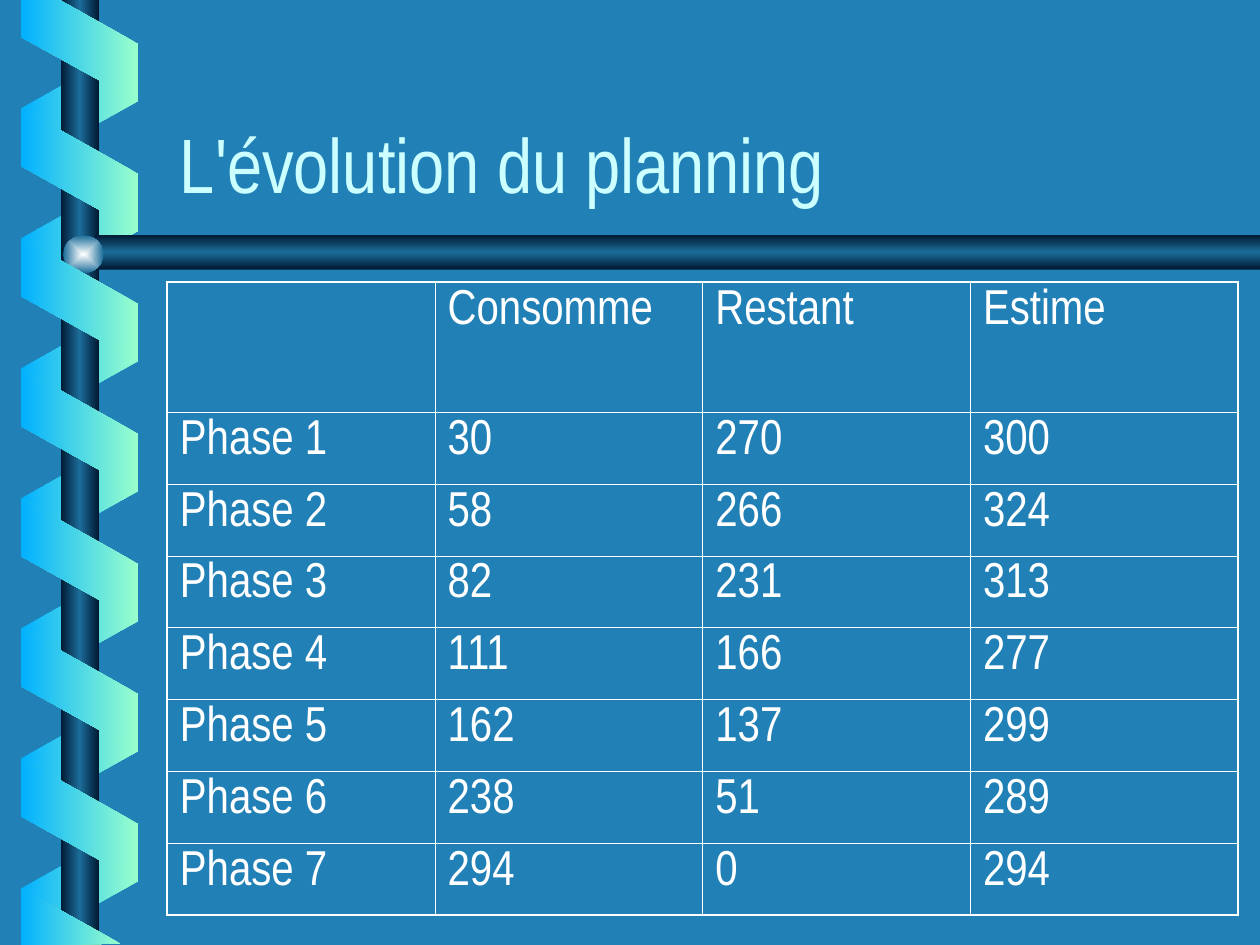
import pptx
import pptx.dml.color
import pptx.enum.shapes
import pptx.enum.text
import pptx.oxml
import pptx.oxml.ns
import pptx.util

Pt = pptx.util.Pt
RGB = pptx.dml.color.RGBColor.from_string
SHAPES = pptx.enum.shapes.MSO_SHAPE

TITLE = "L'évolution du planning"
PLANNING = [
    ("", "Consomme", "Restant", "Estime"),
    ("Phase 1", "30", "270", "300"),
    ("Phase 2", "58", "266", "324"),
    ("Phase 3", "82", "231", "313"),
    ("Phase 4", "111", "166", "277"),
    ("Phase 5", "162", "137", "299"),
    ("Phase 6", "238", "51", "289"),
    ("Phase 7", "294", "0", "294"),
]

THEME = {
    "background": "2181B7",
    "border": "FFFFFF",
    "inner_line": 0.45,
    "outer_line": 1.08,
    "title": {"size": Pt(44), "name": "Arial Narrow", "color": "CCFFFF"},
    "cell": {"size": Pt(28), "name": "Arial Narrow", "color": "FFFFFF"},
    "ribbon_back": ["01B0FF", "99FFCC"],
    "ribbon_front": ["99FFCC", "01B0FF"],
    "metal": ["001932", "1C6D9A", "001932"],
    "ball": ["FEFFFF", "1C6D9A"],
}

# Lengths in points
SLIDE = (720, 540)
TITLE_BOX = (95.6, 33, 612, 90)
TABLE_LEFT, TABLE_TOP, COLUMN = 95.6, 161.2, 153
HEADER_HEIGHT, ROW_HEIGHT = 74.4, 41.05
RIBBON_LEFT, RIBBON_SIZE, RIBBON_PITCH = 10.1, (70.5, 67), 74.3
BACK_TOP, BACK_COUNT = 26.4, 7
FRONT_TOP, FRONT_COUNT = 63.5, 6
ROD = (34.7, 0, 21.8, 540)
BALL = (36.2, 134.5, 23, 21.6)
BAR = [(720, 134.2), (55, 134.2), (43.5, 144), (55, 154), (720, 154)]
RIBBON_START = [(12, 0), (12, 21.2), (78.7, 58), (78.7, 25), (34, 0)]
RIBBON_END = [(69, 539.3), (12, 507.6), (11.8, 540)]


def paint(shape, colors, angle=None):
    """Gradient fill: linear at the angle, or from the centre without one."""
    last = len(colors) - 1
    stops = "".join(
        f'<a:gs pos="{100000 * i // last}"><a:srgbClr val="{color}"/></a:gs>'
        for i, color in enumerate(colors))
    if angle is None:
        course = ('<a:path path="rect"><a:fillToRect l="50000" t="50000" '
                  'r="50000" b="50000"/></a:path>')
    else:
        course = f'<a:lin ang="{angle * 60000}" scaled="0"/>'
    gradient = pptx.oxml.parse_xml(
        f'<a:gradFill {pptx.oxml.ns.nsdecls("a")} rotWithShape="0">'
        f'<a:gsLst>{stops}</a:gsLst>{course}</a:gradFill>')
    shape.shadow.inherit = False
    shape.line.fill.background()
    shape.fill.background()
    no_fill = shape._element.spPr.find(pptx.oxml.ns.qn("a:noFill"))
    no_fill.getparent().replace(no_fill, gradient)


def add_preset(slide, preset, box, colors, angle=None):
    shape = slide.shapes.add_shape(preset, *map(Pt, box))
    paint(shape, colors, angle)
    return shape


def add_outline(slide, points, colors, angle):
    start, *others = [(Pt(x), Pt(y)) for x, y in points]
    builder = slide.shapes.build_freeform(*start)
    builder.add_line_segments(others, close=True)
    paint(builder.convert_to_shape(), colors, angle)


def add_ribbons(slide, top, count, colors, rotation, flipped):
    for i in range(count):
        box = (RIBBON_LEFT, top + i * RIBBON_PITCH, *RIBBON_SIZE)
        ribbon = add_preset(slide, SHAPES.PARALLELOGRAM, box, colors, 180)
        ribbon.adjustments[0] = 0.56
        ribbon.rotation = rotation
        if flipped:
            ribbon._element.spPr.xfrm.set("flipH", "1")


def format_font(font, style):
    for attribute, value in style.items():
        if attribute == "color":
            font.color.rgb = RGB(value)
        else:
            setattr(font, attribute, value)


def set_borders(cell, widths):
    for side, width in widths.items():
        cell._tc.get_or_add_tcPr().append(pptx.oxml.parse_xml(
            f'<a:ln{side} {pptx.oxml.ns.nsdecls("a")} w="{Pt(width)}">'
            f'<a:solidFill><a:srgbClr val="{THEME["border"]}"/></a:solidFill>'
            f'</a:ln{side}>'))


def add_planning(slide):
    rows, columns = len(PLANNING), len(PLANNING[0])
    heights = [HEADER_HEIGHT] + [ROW_HEIGHT] * (rows - 1)
    box = (TABLE_LEFT, TABLE_TOP, COLUMN * columns, sum(heights))
    table = slide.shapes.add_table(rows, columns, *map(Pt, box)).table
    table.first_row = table.horz_banding = False
    for row, height in zip(table.rows, heights):
        row.height = Pt(height)
    for r, texts in enumerate(PLANNING):
        for c, text in enumerate(texts):
            cell = table.cell(r, c)
            on_edge = {"L": c == 0, "R": c == columns - 1,
                       "T": r == 0, "B": r == rows - 1}
            set_borders(cell, {
                side: THEME["outer_line" if edge else "inner_line"]
                for side, edge in on_edge.items()})
            cell.fill.background()
            cell.text = text
            format_font(cell.text_frame.paragraphs[0].font, THEME["cell"])


def add_title(slide):
    title = slide.shapes.title
    title.left, title.top, title.width, title.height = map(Pt, TITLE_BOX)
    frame = title.text_frame
    frame.text = TITLE
    settings = {"word_wrap": True,
                "auto_size": pptx.enum.text.MSO_AUTO_SIZE.NONE,
                "vertical_anchor": pptx.enum.text.MSO_ANCHOR.BOTTOM}
    for attribute, value in settings.items():
        setattr(frame, attribute, value)
    frame.paragraphs[0].alignment = pptx.enum.text.PP_ALIGN.LEFT
    format_font(frame.paragraphs[0].font, THEME["title"])


def main():
    deck = pptx.Presentation()
    deck.slide_width, deck.slide_height = map(Pt, SLIDE)
    slide = deck.slides.add_slide(deck.slide_layouts[5])
    slide.background.fill.solid()
    slide.background.fill.fore_color.rgb = RGB(THEME["background"])

    add_ribbons(slide, BACK_TOP, BACK_COUNT, THEME["ribbon_back"], 90, True)
    add_preset(slide, SHAPES.RECTANGLE, ROD, THEME["metal"], 180)
    add_outline(slide, BAR, THEME["metal"], 90)
    add_preset(slide, SHAPES.OVAL, BALL, THEME["ball"])
    add_ribbons(slide, FRONT_TOP, FRONT_COUNT, THEME["ribbon_front"], 270, False)
    for points in (RIBBON_START, RIBBON_END):
        add_outline(slide, points, THEME["ribbon_front"], 180)

    add_title(slide)
    add_planning(slide)
    deck.save("out.pptx")


if __name__ == "__main__":
    main()
